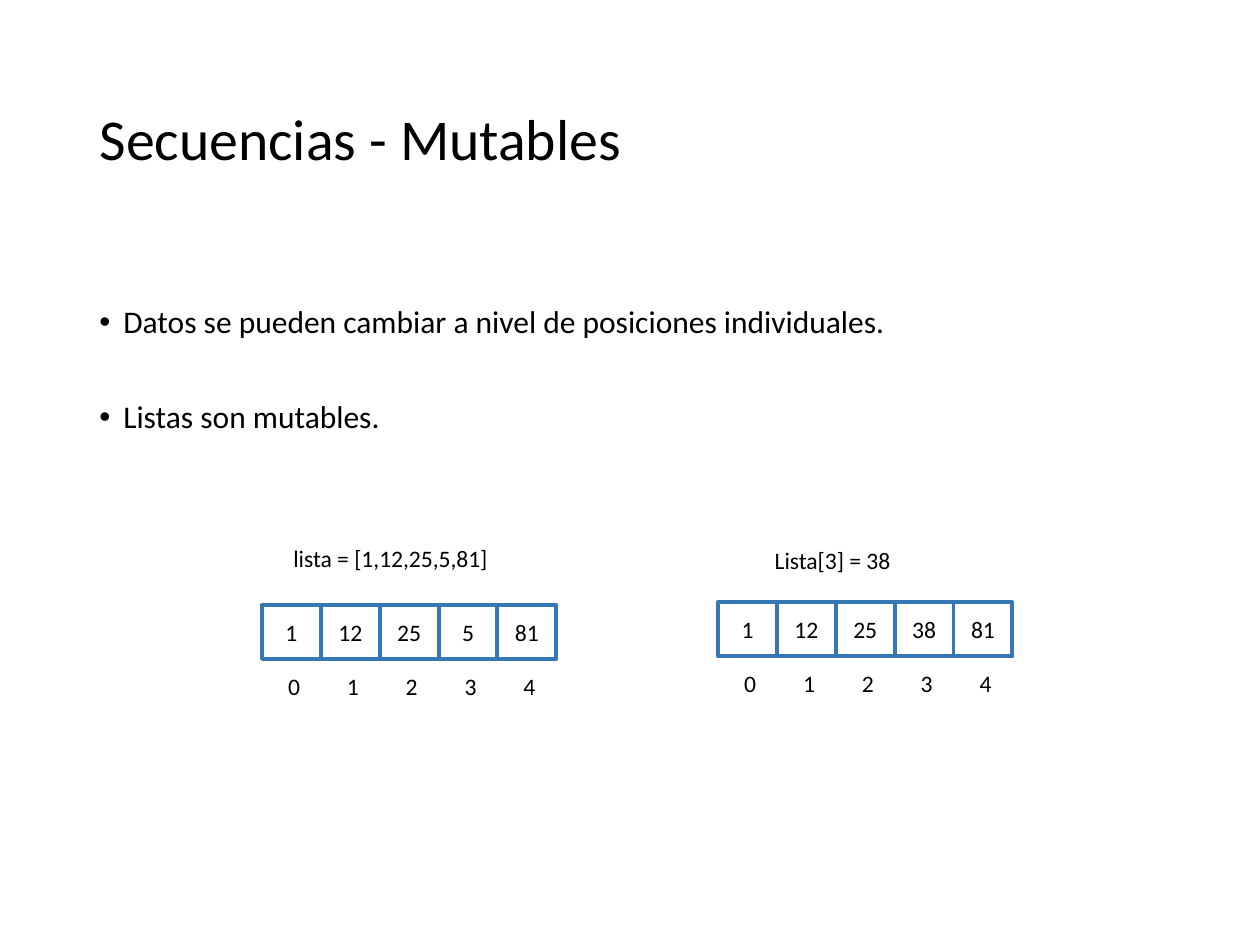
from dataclasses import dataclass

from lxml import etree
from pptx import Presentation
from pptx.dml.color import RGBColor
from pptx.enum.shapes import MSO_SHAPE
from pptx.enum.text import MSO_ANCHOR, MSO_AUTO_SIZE, PP_ALIGN
from pptx.oxml.ns import qn
from pptx.util import Inches, Pt

LEFT, CENTER = PP_ALIGN.LEFT, PP_ALIGN.CENTER
TOP, MIDDLE = MSO_ANCHOR.TOP, MSO_ANCHOR.MIDDLE
NO_AUTOFIT = MSO_AUTO_SIZE.NONE
RECTANGLE = MSO_SHAPE.RECTANGLE
TITLE_ONLY = 5


@dataclass(frozen=True)
class Theme:
    font: str = "Calibri"
    ink: RGBColor = RGBColor(0x00, 0x00, 0x00)
    paper: RGBColor = RGBColor(0xFF, 0xFF, 0xFF)
    border: RGBColor = RGBColor(0x34, 0x77, 0xB2)
    border_width: float = 2.25
    title_size: float = 33
    body_size: float = 18
    cell_size: float = 13.5


THEME = Theme()
SLIDE_W, SLIDE_H = 10, 7.5
MARGIN = 0.69
CONTENT_W = SLIDE_W - 2 * MARGIN
CELL_W, CELL_H = 0.467, 0.43
ROW_H = 0.33
INDEX_GAP = 0.05


def write(shape, *lines, size, align=LEFT, anchor=TOP, wrap=True,
          spacing=1.0, gap=0, insets=(0.1, 0.05, 0.1, 0.05)):
    """Fill a shape with paragraphs; gap is the space between them in points."""
    frame = shape.text_frame
    frame.auto_size = NO_AUTOFIT
    frame.word_wrap = wrap
    frame.vertical_anchor = anchor
    (frame.margin_left, frame.margin_top,
     frame.margin_right, frame.margin_bottom) = map(Inches, insets)
    for number, line in enumerate(lines):
        paragraph = frame.add_paragraph() if number else frame.paragraphs[0]
        paragraph.alignment = align
        paragraph.line_spacing = spacing
        paragraph.space_before = Pt(gap if number else 0)
        run = paragraph.add_run()
        run.text = line
        run.font.name = THEME.font
        run.font.size = Pt(size)
        run.font.color.rgb = THEME.ink
    return frame


def add_bullet(paragraph, indent):
    properties = paragraph._p.get_or_add_pPr()
    properties.set("marL", str(Inches(indent)))
    properties.set("indent", str(-Inches(indent)))
    etree.SubElement(properties, qn("a:buFont")).set("typeface", "Arial")
    etree.SubElement(properties, qn("a:buChar")).set("char", "•")


def add_centre_tabs(paragraph, positions):
    tabs = etree.SubElement(paragraph._p.get_or_add_pPr(), qn("a:tabLst"))
    for position in positions:
        tab = etree.SubElement(tabs, qn("a:tab"))
        tab.set("pos", str(Inches(position)))
        tab.set("algn", "ctr")


def place_title(slide, box, text):
    title = slide.shapes.title
    title.left, title.top, title.width, title.height = map(Inches, box)
    write(title, text, size=THEME.title_size, anchor=MIDDLE, spacing=0.9)


def place_bullets(slide, box, lines):
    body = slide.shapes.add_textbox(*map(Inches, box))
    frame = write(body, *lines, size=THEME.body_size, spacing=0.9, gap=34.8,
                  insets=(0.1, 0.43, 0.1, 0.05))
    for paragraph in frame.paragraphs:
        add_bullet(paragraph, 0.19)


def place_label(slide, box, text):
    label = slide.shapes.add_textbox(*map(Inches, box))
    write(label, text, size=THEME.cell_size, wrap=False)


def place_array(slide, left, top, values):
    """Draw a row of cells with the index of each one below it."""
    parts = slide.shapes.add_group_shape().shapes

    # Cells
    for column, value in enumerate(values):
        cell = parts.add_shape(RECTANGLE, Inches(left + column * CELL_W),
                               Inches(top), Inches(CELL_W), Inches(CELL_H))
        cell.shadow.inherit = False
        cell.fill.solid()
        cell.fill.fore_color.rgb = THEME.paper
        cell.line.color.rgb = THEME.border
        cell.line.width = Pt(THEME.border_width)
        write(cell, str(value), size=THEME.cell_size, align=CENTER,
              anchor=MIDDLE, insets=(0, 0.05, 0, 0.05))

    # Indices, each on a tab stop at the middle of its cell
    columns = range(len(values))
    indices = parts.add_textbox(
        Inches(left), Inches(top + CELL_H + INDEX_GAP),
        Inches(len(values) * CELL_W), Inches(ROW_H))
    frame = write(indices, "".join(f"\t{column}" for column in columns),
                  size=THEME.cell_size, insets=(0, 0.05, 0, 0.05))
    add_centre_tabs(frame.paragraphs[0],
                    [(column + 0.5) * CELL_W + 0.02 for column in columns])


def main():
    deck = Presentation()
    deck.slide_width, deck.slide_height = Inches(SLIDE_W), Inches(SLIDE_H)
    slide = deck.slides.add_slide(deck.slide_layouts[TITLE_ONLY])

    place_title(slide, (MARGIN, 0.4, CONTENT_W, 1.45), "Secuencias - Mutables")
    place_bullets(slide, (MARGIN, 2, CONTENT_W, 4.76), [
        "Datos se pueden cambiar a nivel de posiciones individuales.",
        "Listas son mutables.",
    ])

    # The list before the change
    place_label(slide, (2.23, 4.27, 1.75, 0.56), "lista = [1,12,25,5,81]")
    place_array(slide, 2.08, 4.8, [1, 12, 25, 5, 81])

    # The list after the change
    place_label(slide, (6.05, 4.28, 1.75, ROW_H), "Lista[3] = 38")
    place_array(slide, 5.7, 4.78, [1, 12, 25, 38, 81])

    deck.save("out.pptx")


if __name__ == "__main__":
    main()
